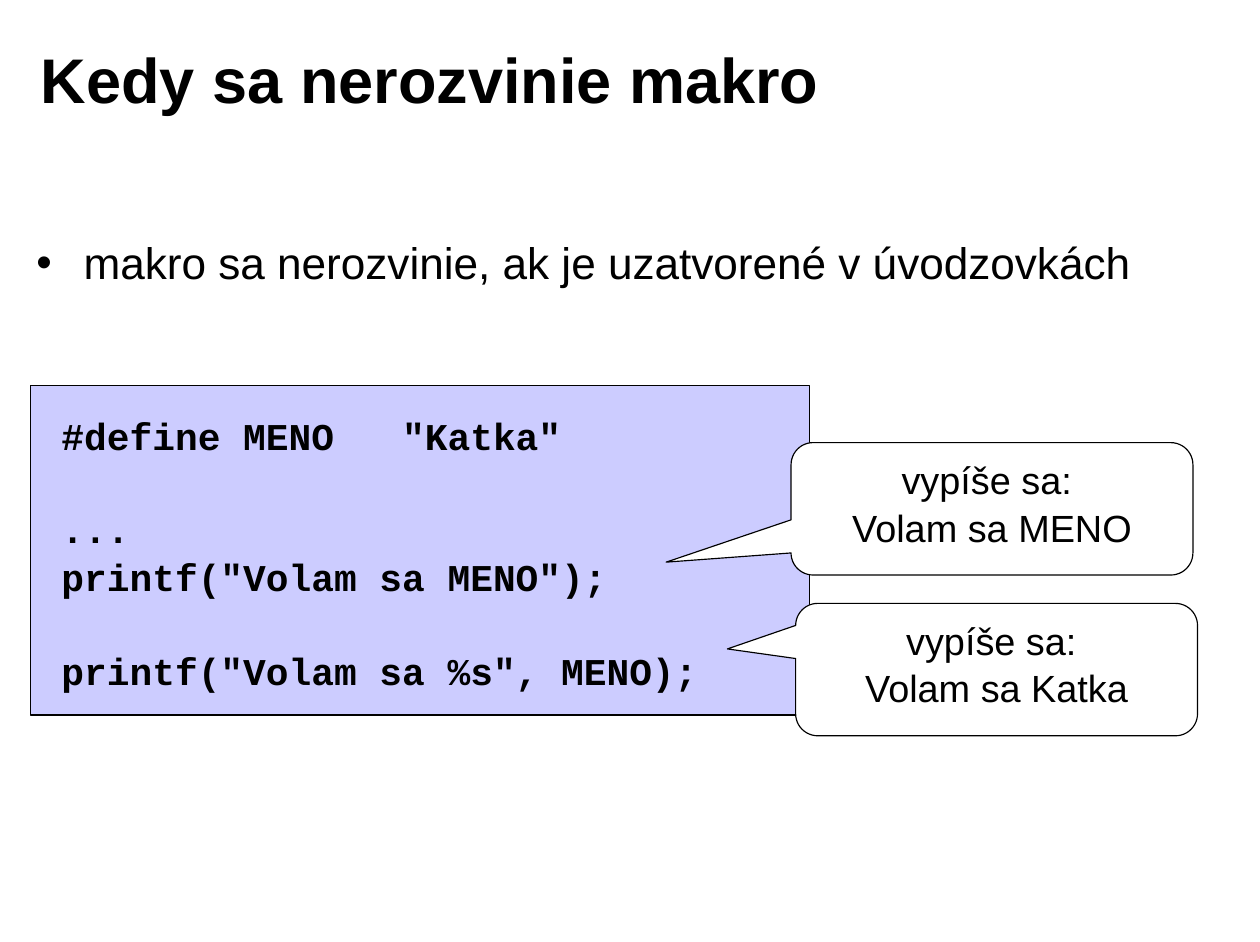
import pptx
import pptx.util
import pptx.dml.color
import pptx.enum.shapes
import pptx.enum.text
import lxml.etree

Pt = pptx.util.Pt
SHAPES = pptx.enum.shapes.MSO_SHAPE
ALIGN = pptx.enum.text.PP_ALIGN
ANCHOR = pptx.enum.text.MSO_ANCHOR
COLORS = {"ink": "000000", "code": "CCCCFF", "callout": "FFFFFF"}

presentation = pptx.Presentation()
presentation.slide_width = Pt(799.2)
presentation.slide_height = Pt(597.6)
slide = presentation.slides.add_slide(presentation.slide_layouts[6])


def write(shape, lines, size, font="Arial", bold=False, align=ALIGN.LEFT,
          anchor=ANCHOR.TOP, spacing=1.04):
    """Fill a shape with (text, space before) lines."""
    frame = shape.text_frame
    frame.word_wrap = True
    frame.vertical_anchor = anchor
    frame.margin_left = frame.margin_right = Pt(8)
    frame.margin_top = frame.margin_bottom = Pt(4)
    for index, (text, gap) in enumerate(lines):
        paragraph = frame.add_paragraph() if index else frame.paragraphs[0]
        paragraph.alignment = align
        paragraph.line_spacing = spacing
        paragraph.space_before = Pt(gap)
        run = paragraph.add_run()
        run.text = text
        run.font.name = font
        run.font.size = Pt(size)
        run.font.bold = bold
        run.font.color.rgb = pptx.dml.color.RGBColor.from_string(COLORS["ink"])


def add_box(kind, left, top, width, height, color):
    shape = slide.shapes.add_shape(kind, Pt(left), Pt(top), Pt(width), Pt(height))
    shape.shadow.inherit = False
    shape.fill.solid()
    shape.fill.fore_color.rgb = pptx.dml.color.RGBColor.from_string(COLORS[color])
    shape.line.color.rgb = pptx.dml.color.RGBColor.from_string(COLORS["ink"])
    shape.line.width = Pt(0.75)
    return shape


# Title
title = slide.shapes.add_textbox(Pt(18), Pt(12.2), Pt(642), Pt(73.4))
write(title, [("Kedy sa nerozvinie makro", 0)], 40, bold=True,
      anchor=ANCHOR.MIDDLE)

# Code panel
add_box(SHAPES.RECTANGLE, 19.5, 244.8, 494, 208.8, "code")
code = slide.shapes.add_textbox(Pt(31), Pt(256), Pt(466), Pt(196))
blank_line = 28.8
write(code, [
    ('#define MENO   "Katka"', 0),
    ("...", blank_line),
    ('printf("Volam sa MENO");', 0),
    ('printf("Volam sa %s", MENO);', blank_line),
], 24, font="Courier New", bold=True, spacing=1.06)

# Bullet
body = slide.shapes.add_textbox(Pt(15.1), Pt(144), Pt(767.5), Pt(100))
write(body, [("makro sa nerozvinie, ak je uzatvorené v úvodzovkách", 0)], 28)
properties = body.text_frame.paragraphs[0]._p.get_or_add_pPr()
properties.set("marL", str(Pt(30)))
properties.set("indent", str(Pt(-30)))
namespace = "{http://schemas.openxmlformats.org/drawingml/2006/main}"
lxml.etree.SubElement(properties, namespace + "buFont", typeface="Arial")
lxml.etree.SubElement(properties, namespace + "buChar", char="•")

# Callouts with the printed output
callouts = [
    (501.8, 280.8, "Volam sa MENO", (-0.811, 0.403)),
    (504.7, 382.8, "Volam sa Katka", (-0.67, -0.156)),
]
for left, top, output, tip in callouts:
    callout = add_box(SHAPES.ROUNDED_RECTANGULAR_CALLOUT, left, top, 254.9, 84,
                      "callout")
    for index, value in enumerate((*tip, 0.167)):
        callout.adjustments[index] = value
    write(callout, [("vypíše sa: ", 0), (output, 0)], 24, align=ALIGN.CENTER)

presentation.save("out.pptx")
